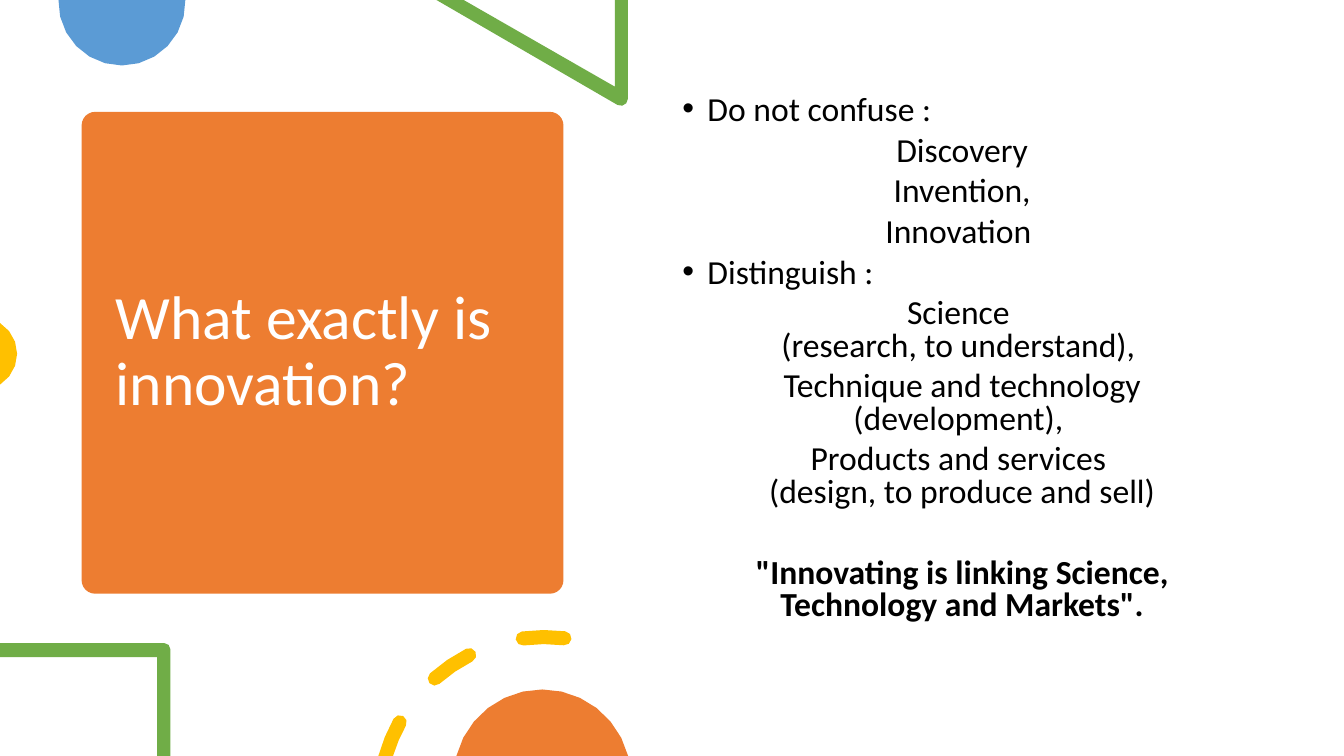
import math
import lxml.etree
import pptx
import pptx.dml.color
import pptx.enum.shapes
import pptx.enum.text
import pptx.oxml.ns
import pptx.util

Inches = pptx.util.Inches
Pt = pptx.util.Pt
RGBColor = pptx.dml.color.RGBColor
ALIGN = pptx.enum.text.PP_ALIGN

ORANGE = RGBColor(0xED, 0x7D, 0x31)
BLUE = RGBColor(0x5B, 0x9B, 0xD5)
GREEN = RGBColor(0x70, 0xAD, 0x47)
YELLOW = RGBColor(0xFF, 0xC0, 0x00)
WHITE = RGBColor(0xFF, 0xFF, 0xFF)
BLACK = RGBColor(0, 0, 0)
FONT = "Calibri"
HEIGHT = 7.5
WIDTH = HEIGHT * 16 / 9
HALF = 0.07

BULLETS = ("Do not confuse :", "Distinguish :")
QUOTE = '"Innovating is linking Science, Technology and Markets".'
LINES = (
    BULLETS[0],
    "Discovery",
    "Invention,",
    "Innovation ",
    BULLETS[1],
    "Science \v(research, to understand), ",
    "Technique and technology (development), ",
    "Products and services \v(design, to produce and sell)",
    QUOTE,
)


def arc(x, y, radius, start, end, steps):
    angles = [math.radians(start + (end - start) * i / steps) for i in range(steps + 1)]
    return [(x + radius * math.cos(a), y + radius * math.sin(a)) for a in angles]


def paint(shape, color):
    shape.shadow.inherit = False
    shape.fill.solid()
    shape.fill.fore_color.rgb = color
    shape.line.fill.background()


def outline(slide, color, *paths):
    paths = [[(Inches(x), Inches(y)) for x, y in path] for path in paths]
    pen = slide.shapes.build_freeform(*paths[0][0])
    pen.add_line_segments(paths[0][1:])
    for path in paths[1:]:
        pen.move_to(*path[0])
        pen.add_line_segments(path[1:])
    paint(pen.convert_to_shape(), color)


def cap(x, y, radius, angle, turn):
    hub = arc(x, y, radius, angle, angle, 1)[0]
    return arc(*hub, HALF, angle + turn, angle + turn + 180, 4)


def dash(x, y, radius, start, end):
    middle = (start + end) / 2
    outer = arc(x, y, radius + HALF, middle, middle, 1)[:1]
    inner = arc(x, y, radius - HALF, middle, middle, 1)[:1]
    return outer + cap(x, y, radius, end, 0) + inner + cap(x, y, radius, start, 180)


def cut_dash(x, y, radius, end):
    rise = HEIGHT - y
    outer, inner = (-180 - math.degrees(math.asin(rise / r)) for r in (radius + HALF, radius - HALF))
    return (arc(x, y, radius + HALF, outer, end, 2)[:-1]
            + cap(x, y, radius, end, 0)
            + arc(x, y, radius - HALF, end, inner, 2)[1:])


def draw_top(slide):
    outline(slide, BLUE, arc(1.21, 0.02, 0.63, -2, 182, 12))
    tip = arc(6.16, 0.98, 0.07, 118, 0, 3)
    outline(slide, GREEN, [(6.23, 0), (6.1, 0), (6.1, 0.86), (4.6, 0), (4.33, 0)] + tip)


def draw_side(slide):
    outline(slide, YELLOW, arc(-0.19, 3.51, 0.36, -58, 58, 6))


def draw_base(slide):
    bend = arc(1.63, 6.44, 0.06, -90, 0, 2)
    outline(slide, GREEN, bend + [(1.69, HEIGHT), (1.56, HEIGHT), (1.56, 6.52), (0, 6.52), (0, 6.38)])
    ring = (5.4, 7.96, 1.64)
    outline(slide, YELLOW, cut_dash(*ring, -151), dash(*ring, -131.5, -117), dash(*ring, -97.5, -83))
    outline(slide, ORANGE, arc(5.38, 7.72, 0.88, -165.5, -14.5, 12))


def add_text(slide, left, top, width, height):
    frame = slide.shapes.add_textbox(*map(Inches, (left, top, width, height))).text_frame
    frame.word_wrap = True
    return frame


def set_font(para, size, color):
    para.font.name = FONT
    para.font.size = Pt(size)
    para.font.color.rgb = color


def draw_title(slide, left, top, side):
    card = slide.shapes.add_shape(
        pptx.enum.shapes.MSO_SHAPE.ROUNDED_RECTANGLE, *map(Inches, (left, top, side, side)))
    card.adjustments[0] = 0.028
    paint(card, ORANGE)
    frame = add_text(slide, left + 0.24, top + 0.11, side - 0.47, side - 0.22)
    frame.vertical_anchor = pptx.enum.text.MSO_ANCHOR.MIDDLE
    para = frame.paragraphs[0]
    para.text = "What exactly is innovation?"
    para.line_spacing = 0.9
    para.space_after = Pt(12)
    set_font(para, 44, WHITE)


def add_bullet(para):
    props = para._p.get_or_add_pPr()
    props.set("marL", str(Inches(0.25)))
    props.set("indent", str(Inches(-0.25)))
    face = lxml.etree.SubElement(props, pptx.oxml.ns.qn("a:buFont"))
    face.set("typeface", "Arial")
    mark = lxml.etree.SubElement(props, pptx.oxml.ns.qn("a:buChar"))
    mark.set("char", "•")


def draw_body(slide, left, top, width, height):
    frame = add_text(slide, left, top, width, height)
    for i, line in enumerate(LINES):
        para = frame.add_paragraph() if i else frame.paragraphs[0]
        para.text = line
        para.line_spacing = 0.8
        para.space_before = Pt(35 if line == QUOTE else 6)
        set_font(para, 24, BLACK)
        if line in BULLETS:
            add_bullet(para)
        else:
            para.alignment = ALIGN.CENTER
        if line == QUOTE:
            para.font.bold = True


def main():
    deck = pptx.Presentation()
    deck.slide_width = Inches(WIDTH)
    deck.slide_height = Inches(HEIGHT)
    slide = deck.slides.add_slide(deck.slide_layouts[6])
    draw_title(slide, 0.81, 1.11, 4.78)
    draw_top(slide)
    draw_side(slide)
    draw_body(slide, 6.67, 0.9, 5.75, 5.35)
    draw_base(slide)
    deck.save("out.pptx")


if __name__ == "__main__":
    main()
